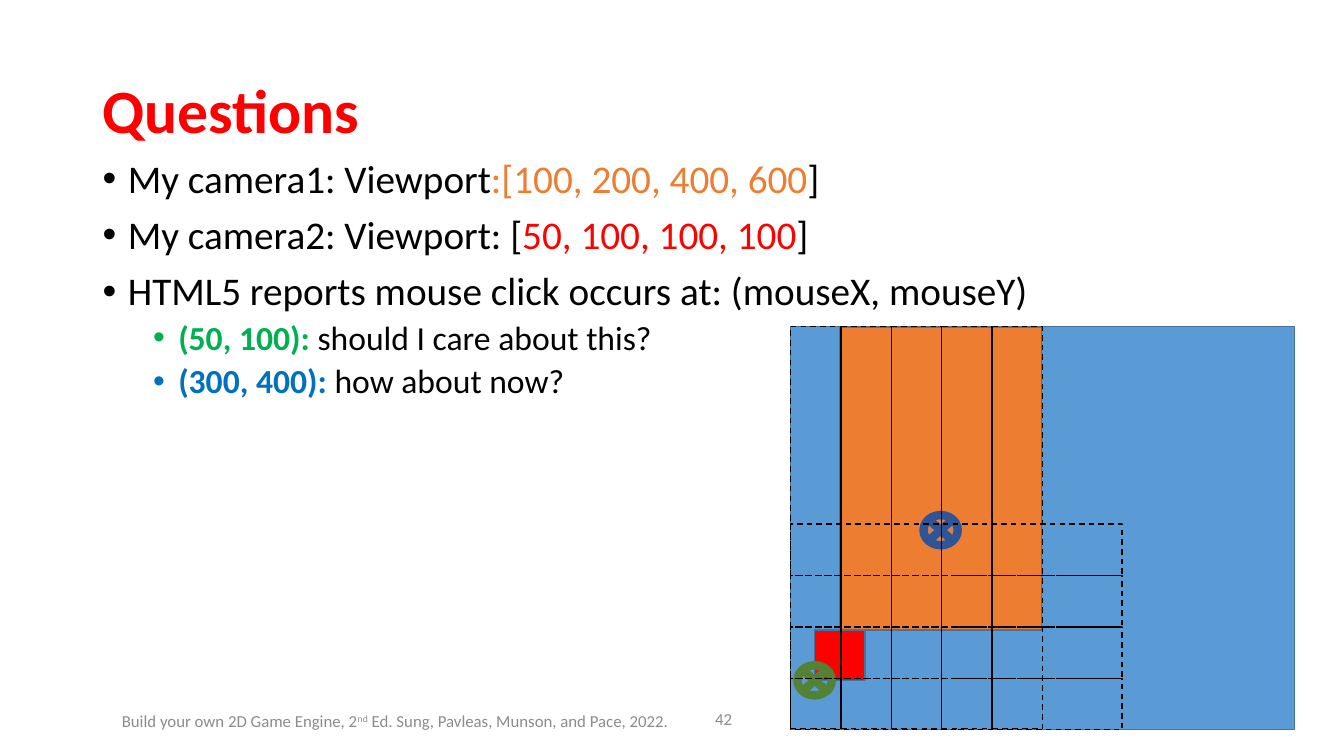
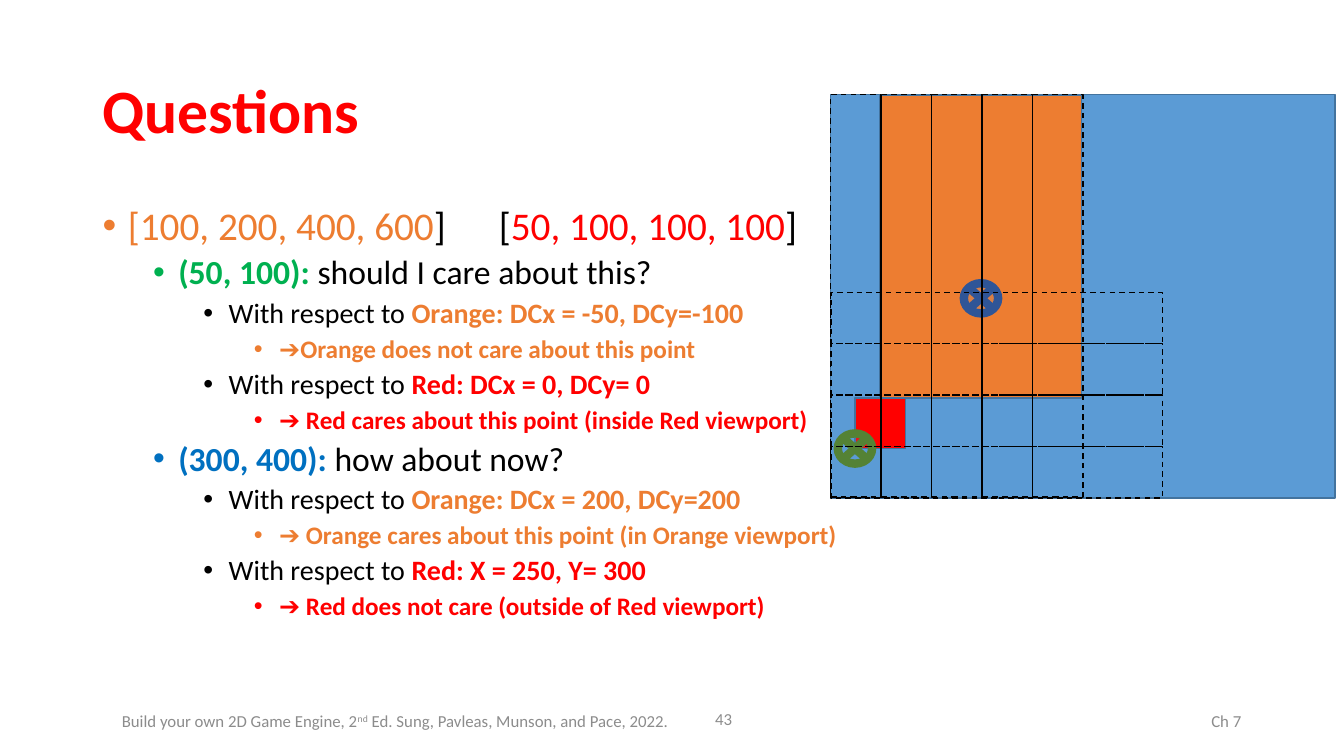
from lxml import etree
from pptx import Presentation
from pptx.dml.color import RGBColor
from pptx.enum.dml import MSO_LINE
from pptx.enum.shapes import MSO_SHAPE as Shape
from pptx.enum.text import MSO_ANCHOR as Anchor, PP_ALIGN as Align
from pptx.oxml.ns import qn
from pptx.util import Pt

PX = 9144  # one hundredth of an inch in EMU
FONT = "Calibri"
BLACK, GREY, RED, ORANGE = "000000", "8C8C8C", "FF0000", "ED7D31"
GREEN, BLUE = "00B050", "0070C0"
CANVAS, EDGE = "5B9BD5", "43739E"
GREEN_MARK, BLUE_MARK = "548235", "2F5597"
LEVEL_SIZES = (28, 24, 20, 18)


def px(*lengths):
    return [length * PX for length in lengths]


def color(value):
    return RGBColor.from_string(value)


def apply_format(target, values):
    for name, value in values.items():
        setattr(target, name, value)


def add_runs(paragraph, runs, size):
    """Each run is (text, colour, bold, superscript); the last three are optional."""
    for text, *style in runs:
        tint, bold, raised = (*style, *(BLACK, False, False)[len(style):])
        run = paragraph.add_run()
        run.text = text
        apply_format(run.font, {"name": FONT, "size": Pt(size), "bold": bold})
        run.font.color.rgb = color(tint)
        if raised:
            run.font._element.set("baseline", "30000")


def add_text_frame(slide, box, anchor):
    frame = slide.shapes.add_textbox(*px(*box)).text_frame
    apply_format(frame, {"word_wrap": True, "vertical_anchor": anchor})
    return frame


def add_line(slide, box, runs, size, align=Align.LEFT, spacing=1.0):
    paragraph = add_text_frame(slide, box, Anchor.MIDDLE).paragraphs[0]
    apply_format(paragraph, {"alignment": align, "line_spacing": spacing})
    add_runs(paragraph, runs, size)


def add_bullet(paragraph, level, tab):
    properties = paragraph._p.get_or_add_pPr()
    properties.set("marL", str((25 + 50 * level) * PX))
    properties.set("indent", str(-25 * PX))
    etree.SubElement(properties, qn("a:buFont"), typeface="Arial")
    etree.SubElement(properties, qn("a:buChar"), char="•")
    if tab:
        tabs = etree.SubElement(properties, qn("a:tabLst"))
        etree.SubElement(tabs, qn("a:tab"), pos=str(tab * PX), algn="l")


def add_body(slide, box, items, tab=None):
    frame = add_text_frame(slide, box, Anchor.TOP)
    for index, (level, *runs) in enumerate(items):
        paragraph = frame.add_paragraph() if index else frame.paragraphs[0]
        add_bullet(paragraph, level, tab if index == 0 else None)
        before = (5 if level else 10) if index else 0
        apply_format(paragraph, {"level": level, "line_spacing": 0.9,
                                 "space_before": Pt(before)})
        add_runs(paragraph, runs, LEVEL_SIZES[level])


def add_frame(slide, number, chapter):
    # Footer
    if chapter:
        add_line(slide, (760, 695, 481, 40), [(chapter, GREY)], 12, Align.RIGHT)
    add_line(slide, (617, 693, 119, 40), [(str(number), GREY)], 12, Align.RIGHT)
    add_line(slide, (111, 695, 590, 40), [
        ("Build your own 2D Game Engine, 2", GREY),
        ("nd", GREY, False, True),
        (" Ed. Sung, Pavleas, Munson, and Pace, 2022.", GREY)], 12)
    # Title
    add_line(slide, (92, 40, 1150, 145), [("Questions", RED, True)], 44, spacing=0.9)


def add_viewports(slide, left, top):
    group = slide.shapes.add_group_shape()

    def add_part(kind, x, y, width, height, fill, edge, weight=1, opacity=None, dash=None):
        shape = group.shapes.add_shape(kind, *px(left + x, top + y, width, height))
        shape.shadow.inherit = False
        if fill:
            shape.fill.solid()
            shape.fill.fore_color.rgb = color(fill)
        else:
            shape.fill.background()
        if opacity:
            tint = shape._element.spPr.find(".//" + qn("a:srgbClr"))
            etree.SubElement(tint, qn("a:alpha"), val=str(opacity * 1000))
        shape.line.color.rgb = color(edge)
        apply_format(shape.line, {"width": Pt(weight), "dash_style": dash})

    # Canvas and the two camera viewports
    for x, y, width, height, fill in ((0, 0, 500, 400, CANVAS),
                                      (49, 1, 200, 300, ORANGE),
                                      (24, 301, 50, 50, RED)):
        add_part(Shape.RECTANGLE, x, y, width, height, fill, EDGE)
    # Mouse clicks
    for x, y, edge in ((7, 336, GREEN_MARK), (132, 187, BLUE_MARK)):
        add_part(Shape.FLOWCHART_SUMMING_JUNCTION, x, y, 34, 30, CANVAS, edge, 6, 12)
    # Dashed grid: five columns, then four rows from the bottom up
    columns = [(50 * column, 0, 50, 399) for column in range(5)]
    rows = [(0, 349 - 51 * row, 329, 51) for row in range(4)]
    for cell in columns + rows:
        add_part(Shape.RECTANGLE, *cell, None, BLACK, dash=MSO_LINE.DASH)


FIRST_CLICK = (1, ("(50, 100): ", GREEN, True), ("should I care about this?",))
SECOND_CLICK = (1, ("(300, 400): ", BLUE, True), ("how about now?",))


def respect(tint, position, verdict):
    return [(2, ("With respect to ",), (position, tint, True)),
            (3, (verdict, tint, True))]


QUESTIONS = [
    (0, ("My camera1: Viewport",), (":[100, 200, 400, 600", ORANGE), ("]",)),
    (0, ("My camera2: Viewport: [",), ("50, 100, 100, 100", RED), ("]",)),
    (0, ("HTML5 reports mouse click occurs at: (mouseX, mouseY)",)),
    FIRST_CLICK,
    SECOND_CLICK,
]
ANSWERS = [
    (0, ("[100, 200, 400, 600", ORANGE), ("]\t[",), ("50, 100, 100, 100", RED), ("]",)),
    FIRST_CLICK,
    *respect(ORANGE, "Orange: DCx = -50, DCy=-100",
             "➔Orange does not care about this point"),
    *respect(RED, "Red: DCx = 0, DCy= 0",
             "➔ Red cares about this point (inside Red viewport)"),
    SECOND_CLICK,
    *respect(ORANGE, "Orange: DCx = 200, DCy=200",
             "➔ Orange cares about this point (in Orange viewport)"),
    *respect(RED, "Red: X = 250, Y= 300",
             "➔ Red does not care (outside of Red viewport)"),
]


def add_question_slide(presentation, number, items, body_top, diagram, chapter=None, tab=None):
    slide = presentation.slides.add_slide(presentation.slide_layouts[6])
    add_frame(slide, number, chapter)
    add_body(slide, (92, body_top, 1150, 476), items, tab)
    add_viewports(slide, *diagram)


def main():
    presentation = Presentation()
    width, height = px(1333, 750)
    apply_format(presentation, {"slide_width": width, "slide_height": height})
    add_question_slide(presentation, 42, QUESTIONS, 153, (784, 324))
    add_question_slide(presentation, 43, ANSWERS, 200, (824, 94), "Ch 7", 393)
    presentation.save("out.pptx")


if __name__ == "__main__":
    main()
